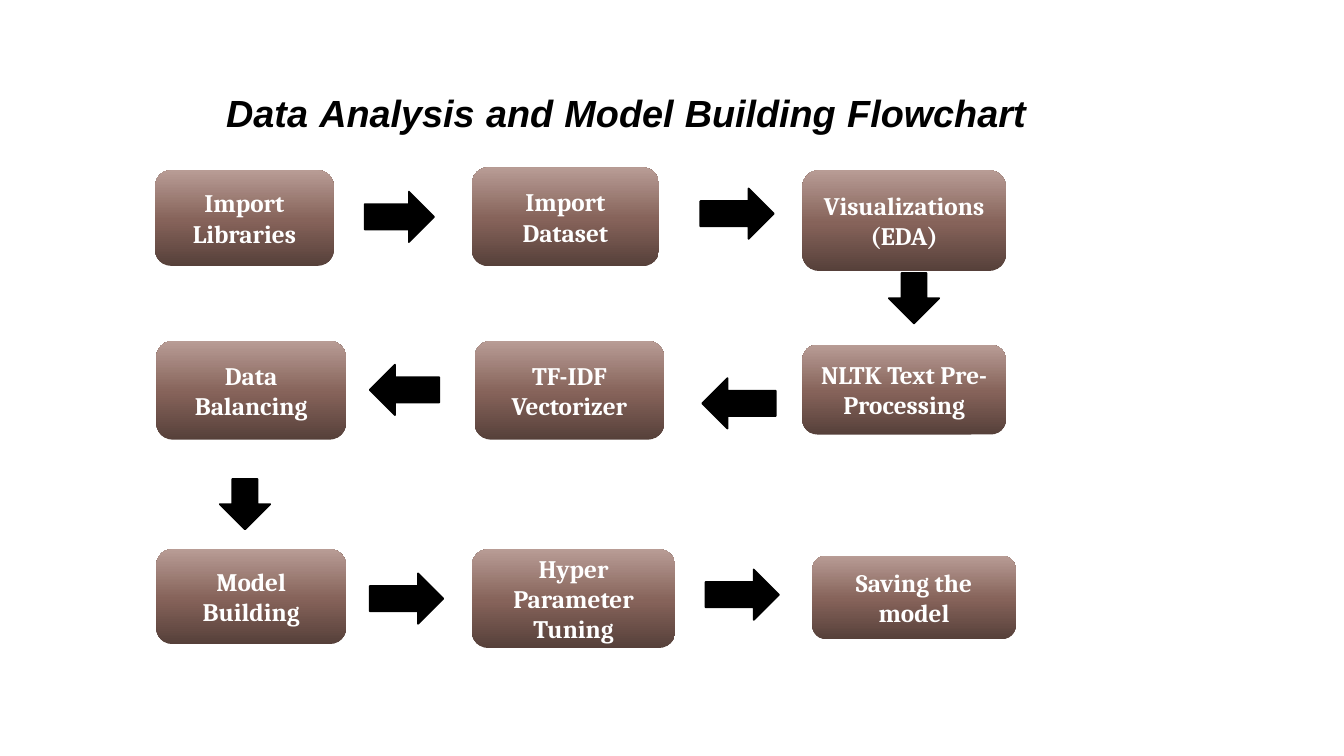
from copy import deepcopy

from pptx import Presentation
from pptx.dml.color import RGBColor
from pptx.enum.shapes import MSO_SHAPE
from pptx.enum.text import MSO_ANCHOR, PP_ALIGN
from pptx.util import Cm, Pt

BLACK, WHITE = "000000", "FFFFFF"
STEP_GRADIENT = [(0, "56403A"), (0.48, "86635A"), (1, "B89C95")]
TITLE_WORD = {"size": Pt(27), "name": "Arial", "bold": True, "italic": True}
TITLE_SPACE = {"size": Pt(32), "name": "Times New Roman", "bold": True}
STEP_LABEL = {"size": Pt(18), "name": "Cambria", "bold": True}

RIGHT, LEFT, DOWN = MSO_SHAPE.RIGHT_ARROW, MSO_SHAPE.LEFT_ARROW, MSO_SHAPE.DOWN_ARROW
ARROW_HEIGHT = 1.27
ROWS_LEFT = 3.91

# Each row: top, steps (label, x, y, width, height), arrows (direction, x, y, width)
ROWS = [
    (4.22,
     [("Import Libraries", 0, 0.07, 4.5, 2.41),
      ("Import Dataset", 7.98, 0, 4.72, 2.49),
      ("Visualizations\n(EDA)", 16.31, 0.07, 5.13, 2.54)],
     [(RIGHT, 5.28, 0.61, 1.75), (RIGHT, 13.74, 0.53, 1.85), (DOWN, 18.49, 2.66, 1.27)]),
    (8.59,
     [("Data Balancing", 0.03, 0, 4.78, 2.49),
      ("TF-IDF Vectorizer", 8.05, 0, 4.78, 2.49),
      ("NLTK Text Pre-Processing", 16.31, 0.1, 5.13, 2.26)],
     [(LEFT, 5.41, 0.6, 1.75), (LEFT, 13.79, 0.94, 1.85), (DOWN, 1.63, 3.48, 1.27)]),
    (13.84,
     [("Model Building", 0.03, 0, 4.78, 2.39),
      ("Hyper Parameter Tuning", 7.98, 0, 5.13, 2.49),
      ("Saving the model", 16.56, 0.16, 5.13, 2.11)],
     [(RIGHT, 5.41, 0.61, 1.85), (RIGHT, 13.87, 0.51, 1.85)]),
]


def color(hex_code):
    return RGBColor.from_string(hex_code)


def format_font(font, hex_code, values):
    for name, value in values.items():
        setattr(font, name, value)
    font.color.rgb = color(hex_code)


def fill_gradient(fill, stops):
    fill.gradient()
    fill.gradient_angle = 90
    # A new gradient has two stops, so one is added for the middle colour
    last_stop = fill._fill._gradFill.gsLst[-1]
    last_stop.addprevious(deepcopy(last_stop))
    for stop, (position, hex_code) in zip(fill.gradient_stops, stops):
        stop.position = position
        stop.color.rgb = color(hex_code)


def add_title(slide, text, left, top, width, height):
    title = slide.shapes.add_textbox(Cm(left), Cm(top), Cm(width), Cm(height))
    title.text_frame.word_wrap = True
    line = title.text_frame.paragraphs[0]
    line.alignment = PP_ALIGN.CENTER
    for index, word in enumerate(text.split()):
        pieces = [(word, TITLE_WORD)]
        if index:
            pieces.insert(0, (" ", TITLE_SPACE))
        for piece, values in pieces:
            run = line.add_run()
            run.text = piece
            format_font(run.font, BLACK, values)


def add_step(slide, label, left, top, width, height):
    step = slide.shapes.add_shape(MSO_SHAPE.FLOWCHART_ALTERNATE_PROCESS,
                                  Cm(left), Cm(top), Cm(width), Cm(height))
    step.shadow.inherit = False
    fill_gradient(step.fill, STEP_GRADIENT)
    step.line.fill.background()
    step.text_frame.word_wrap = True
    step.text_frame.vertical_anchor = MSO_ANCHOR.MIDDLE
    step.text_frame.text = label
    for paragraph in step.text_frame.paragraphs:
        paragraph.alignment = PP_ALIGN.CENTER
        format_font(paragraph.runs[0].font, WHITE, STEP_LABEL)


def add_arrow(slide, direction, left, top, width):
    arrow = slide.shapes.add_shape(direction, Cm(left), Cm(top), Cm(width), Cm(ARROW_HEIGHT))
    arrow.shadow.inherit = False
    arrow.fill.solid()
    arrow.fill.fore_color.rgb = color(BLACK)
    arrow.line.color.rgb = color(BLACK)
    arrow.line.width = Pt(1.25)


def add_row(slide, left, top, steps, arrows):
    for label, x, y, width, height in steps:
        add_step(slide, label, left + x, top + y, width, height)
    for direction, x, y, width in arrows:
        add_arrow(slide, direction, left + x, top + y, width)


def main():
    deck = Presentation()
    deck.slide_width, deck.slide_height = Cm(33.87), Cm(19.05)
    slide = deck.slides.add_slide(deck.slide_layouts[6])

    # Title
    add_title(slide, "Data Analysis and Model Building Flowchart", 1.93, 1.96, 27.69, 2.39)

    # Flowchart
    for top, steps, arrows in ROWS:
        add_row(slide, ROWS_LEFT, top, steps, arrows)

    deck.save("out.pptx")


if __name__ == "__main__":
    main()
